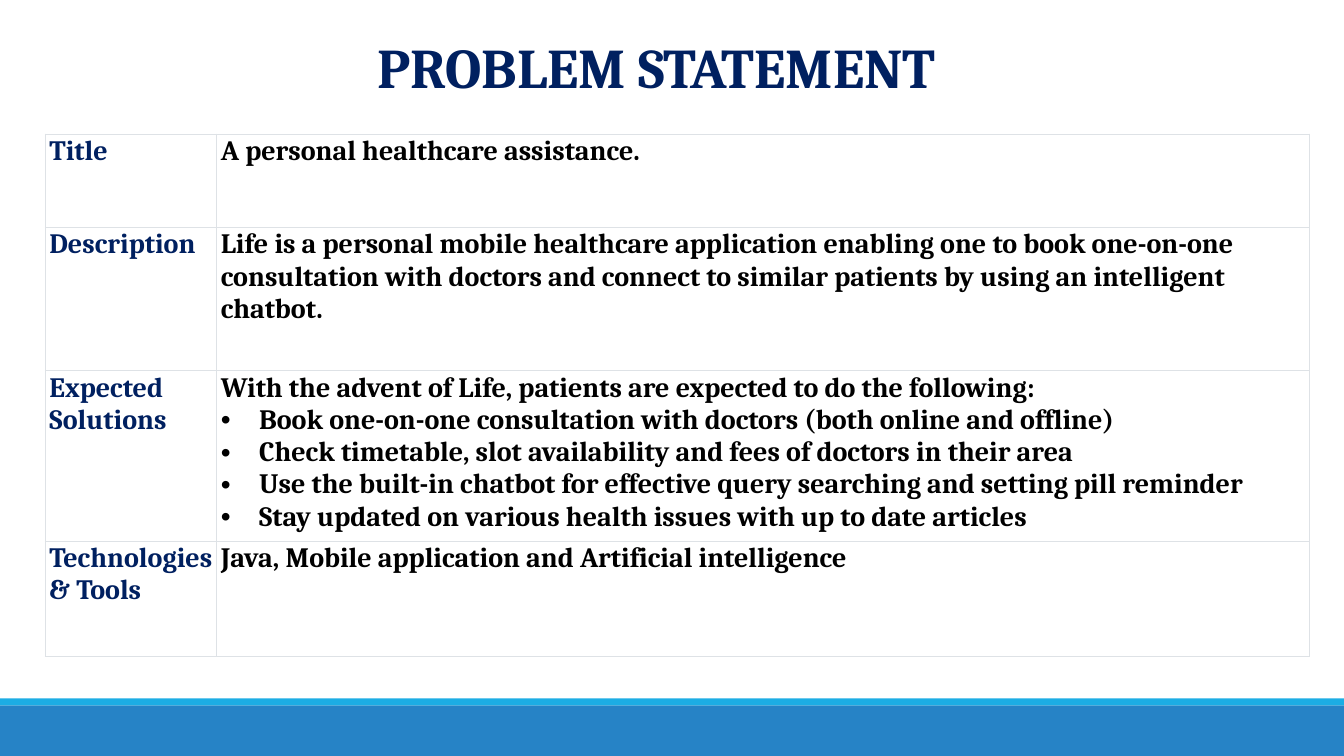
from lxml.etree import SubElement
from pptx import Presentation
from pptx.dml.color import RGBColor
from pptx.enum.shapes import MSO_SHAPE
from pptx.enum.text import MSO_ANCHOR, PP_ALIGN
from pptx.oxml import parse_xml
from pptx.oxml.ns import nsdecls, qn
from pptx.util import Inches, Pt

COLORS = {"navy": "002060", "black": "000000", "white": "FFFFFF",
          "grid": "DEE2E6", "blue": "2683C6", "cyan": "1CADE4"}
WIDTH, HEIGHT = 13.33, 7.5
COLUMN_WIDTHS = [1.7, 10.84]
ROW_HEIGHTS = [0.93, 1.42, 1.69, 1.14]
BULLET_INDENT = Inches(0.38)
CELL_MARGINS = {"margin_left": Inches(0.04), "margin_right": Inches(0.03),
                "margin_top": Inches(0.01), "margin_bottom": Inches(0.01)}
TITLE_FONT = {"name": "Cambria", "size": Pt(40), "bold": True}
BODY_FONT = {"name": "Cambria", "size": Pt(20), "bold": True}

STATEMENT = [
    ("Title", ["A personal healthcare assistance."]),
    ("Description", [
        "Life is a personal mobile healthcare application enabling one to book "
        "one-on-one consultation with doctors and connect to similar patients by "
        "using an intelligent chatbot."]),
    ("Expected Solutions", [
        "With the advent of Life, patients are expected to do the following:",
        "Book one-on-one consultation with doctors (both online and offline)",
        "Check timetable, slot availability and fees of doctors in their area",
        "Use the built-in chatbot for effective query searching and setting pill reminder",
        "Stay updated on various health issues with up to date articles"]),
    ("Technologies & Tools", ["Java, Mobile application and Artificial intelligence"]),
]


def color(name):
    return RGBColor.from_string(COLORS[name])


def apply_format(target, values):
    for name, value in values.items():
        setattr(target, name, value)


def write_span(para, text, font, color_name):
    span = para.add_run()
    span.text = text
    apply_format(span.font, font)
    span.font.color.rgb = color(color_name)


def add_bullet(para):
    properties = para._p.get_or_add_pPr()
    properties.set("marL", str(BULLET_INDENT))
    properties.set("indent", str(-BULLET_INDENT))
    bullet_color = SubElement(properties, qn("a:buClr"))
    SubElement(bullet_color, qn("a:srgbClr"), val=COLORS["black"])
    SubElement(properties, qn("a:buFont"), typeface="Arial")
    SubElement(properties, qn("a:buChar"), char="•")


def add_borders(cell):
    properties = cell._tc.get_or_add_tcPr()
    for position, side in enumerate(("lnL", "lnR", "lnT", "lnB")):
        properties.insert(position, parse_xml(
            f'<a:{side} {nsdecls("a")} w="{Pt(0.75)}"><a:solidFill>'
            f'<a:srgbClr val="{COLORS["grid"]}"/></a:solidFill></a:{side}>'))


def fill_cell(cell, lines, color_name):
    apply_format(cell, CELL_MARGINS)
    cell.fill.solid()
    cell.fill.fore_color.rgb = color("white")
    add_borders(cell)
    frame = cell.text_frame
    for number, line in enumerate(lines):
        para = frame.add_paragraph() if number else frame.paragraphs[0]
        write_span(para, line, BODY_FONT, color_name)
        if number:
            add_bullet(para)


def add_footer(page, left, top, width, height):
    stripe = height * 0.12
    bands = [("blue", top + stripe, height - stripe), ("cyan", top, stripe)]
    for color_name, band_top, band_height in bands:
        band = page.shapes.add_shape(
            MSO_SHAPE.RECTANGLE, Inches(left), Inches(band_top),
            Inches(width), Inches(band_height))
        band.shadow.inherit = False
        band.fill.solid()
        band.fill.fore_color.rgb = color(color_name)
        band.line.fill.background()


def add_title(page, left, top, width, height):
    box = page.shapes.add_textbox(*map(Inches, (left, top, width, height)))
    apply_format(box.text_frame, {"word_wrap": True, "vertical_anchor": MSO_ANCHOR.MIDDLE})
    para = box.text_frame.paragraphs[0]
    apply_format(para, {"alignment": PP_ALIGN.CENTER, "line_spacing": 0.85})
    write_span(para, "PROBLEM STATEMENT", TITLE_FONT, "navy")


def add_statement_table(page, left, top, width, height):
    table = page.shapes.add_table(
        len(STATEMENT), len(COLUMN_WIDTHS),
        *map(Inches, (left, top, width, height))).table
    apply_format(table, {"first_row": False, "horz_banding": False})
    for column, share in zip(table.columns, COLUMN_WIDTHS):
        column.width = Inches(width * share / sum(COLUMN_WIDTHS))
    for row, share in zip(table.rows, ROW_HEIGHTS):
        row.height = Inches(height * share / sum(ROW_HEIGHTS))
    for row, (label, lines) in zip(table.rows, STATEMENT):
        fill_cell(row.cells[0], [label], "navy")
        fill_cell(row.cells[1], lines, "black")


deck = Presentation()
apply_format(deck, {"slide_width": Inches(WIDTH), "slide_height": Inches(HEIGHT)})
page = deck.slides.add_slide(deck.slide_layouts[6])
add_footer(page, 0, HEIGHT * 0.924, WIDTH, HEIGHT * 0.076)
add_title(page, WIDTH * 0.13, 0, WIDTH * 0.717, HEIGHT * 0.19)
add_statement_table(page, 0.45, 1.33, sum(COLUMN_WIDTHS), sum(ROW_HEIGHTS))
deck.save("out.pptx")
